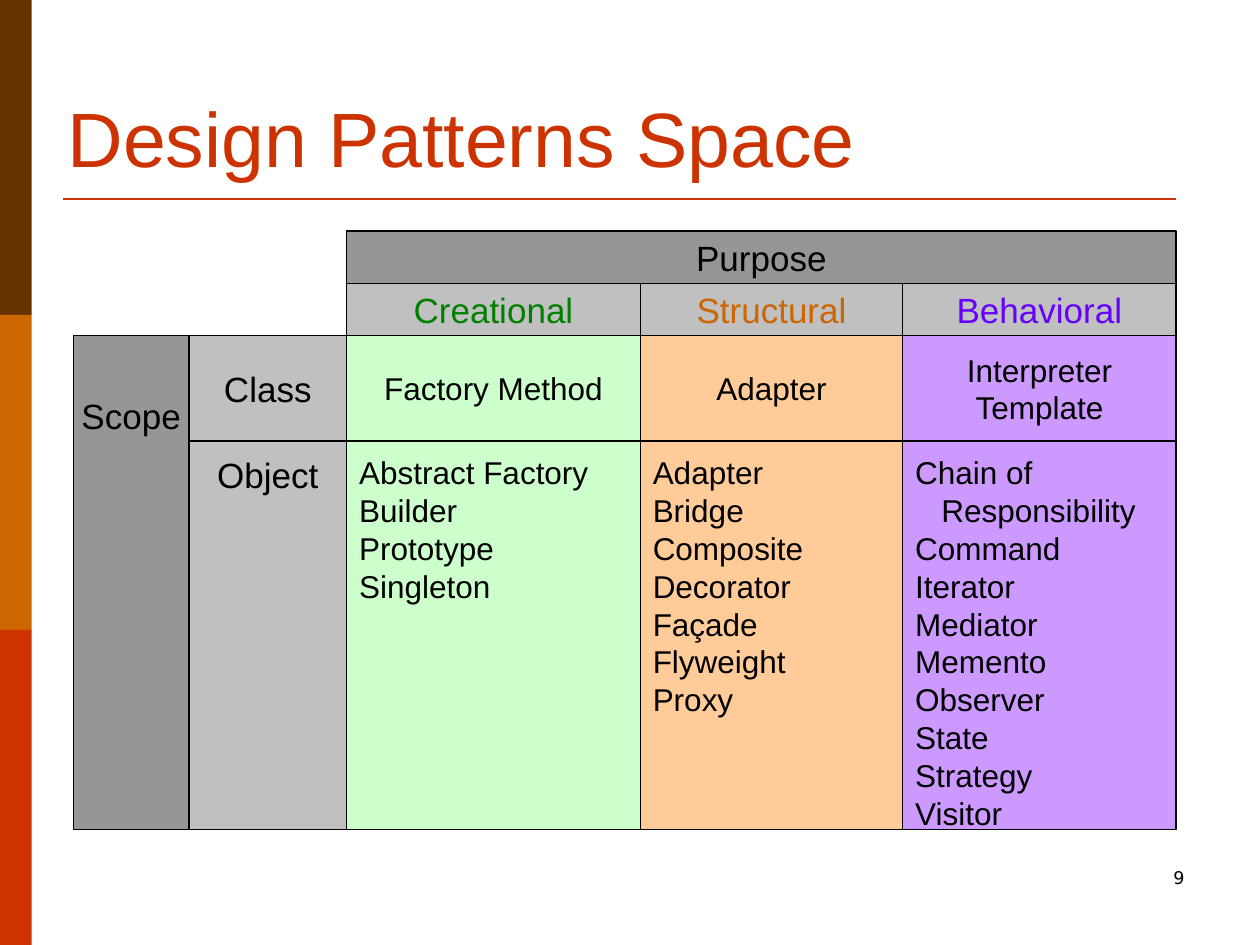
"""Build the design patterns slide: purposes across, scopes down."""
import pptx
import pptx.dml.color
import pptx.enum.shapes
import pptx.enum.text
import pptx.util
from lxml import etree
from pptx.util import Cm, Pt

TITLE = "Design Patterns Space"
PAGE_NUMBER = "9"
ACCENT = "CC3300"
SIDEBAR = ["663300", "CC6600", ACCENT]
DARK_GRAY, LIGHT_GRAY, BLACK = "969696", "C0C0C0", "000000"

PURPOSES = [
    {"name": "Creational", "ink": "008000", "tint": "CCFFCC",
     "class": ["Factory Method"],
     "object": ["Abstract Factory", "Builder", "Prototype", "Singleton"]},
    {"name": "Structural", "ink": "CC6600", "tint": "FFCC99",
     "class": ["Adapter"],
     "object": ["Adapter", "Bridge", "Composite", "Decorator", "Façade",
                "Flyweight", "Proxy"]},
    {"name": "Behavioral", "ink": "6600FF", "tint": "CC99FF",
     "class": ["Interpreter", "Template"],
     "object": ["Chain of Responsibility", "Command", "Iterator", "Mediator",
                "Memento", "Observer", "State", "Strategy", "Visitor"]},
]

COLUMN_EDGES = [1.48, 3.81, 6.99, 12.91, 18.2, 23.71]
ROW_EDGES = [4.66, 5.72, 6.77, 8.89, 16.72]
LIST_TOP, SCOPE_TOP, HANGING = 0.25, 1.18, 0.53

ALIGN = pptx.enum.text.PP_ALIGN
ANCHOR = pptx.enum.text.MSO_ANCHOR
RECTANGLE = pptx.enum.shapes.MSO_SHAPE.RECTANGLE


def rgb(value):
    return pptx.dml.color.RGBColor.from_string(value)


def write(frame, lines, size, ink, align, font="Arial"):
    frame.text = "\n".join(lines)
    for paragraph in frame.paragraphs:
        paragraph.alignment = align
        paragraph.font.name = font
        paragraph.font.size = Pt(size)
        paragraph.font.color.rgb = rgb(ink)


def add_block(slide, left, top, width, height, fill):
    block = slide.shapes.add_shape(RECTANGLE, Cm(left), Cm(top), Cm(width), Cm(height))
    block.shadow.inherit = False
    block.fill.solid()
    block.fill.fore_color.rgb = rgb(fill)
    block.line.fill.background()
    return block


def add_cell(slide, columns, rows, lines, fill, ink=BLACK, size=20,
             align=ALIGN.CENTER, text_top=None):
    left, right = (COLUMN_EDGES[edge] for edge in columns)
    top, bottom = (ROW_EDGES[edge] for edge in rows)
    cell = add_block(slide, left, top, right - left, bottom - top, fill)
    cell.line.color.rgb = rgb(BLACK)
    cell.line.width = Pt(0.75)
    frame = cell.text_frame
    frame.word_wrap = False
    frame.vertical_anchor = ANCHOR.MIDDLE
    if text_top is not None:
        frame.vertical_anchor = ANCHOR.TOP
        frame.margin_top = Cm(text_top)
    write(frame, lines, size, ink, align)
    return frame


def add_label(slide, left, top, width, height, text, size, ink, align, anchor, font):
    frame = slide.shapes.add_textbox(Cm(left), Cm(top), Cm(width), Cm(height)).text_frame
    frame.word_wrap = True
    frame.vertical_anchor = anchor
    write(frame, [text], size, ink, align, font)


def hang_lines(frame):
    frame.word_wrap = True
    for paragraph in frame.paragraphs:
        properties = paragraph._p.get_or_add_pPr()
        properties.set("marL", str(Cm(HANGING)))
        properties.set("indent", str(-Cm(HANGING)))


def add_rule(slide):
    rule = slide.shapes.add_connector(pptx.enum.shapes.MSO_CONNECTOR.STRAIGHT,
                                      Cm(1.27), Cm(4.01), Cm(23.71), Cm(4.01))
    rule.line.color.rgb = rgb(ACCENT)
    rule.line.width = Pt(1.5)
    etree.SubElement(rule._element.spPr, pptx.oxml.ns.qn("a:effectLst"))


def main():
    deck = pptx.Presentation()
    deck.slide_width, deck.slide_height = Cm(25.4), Cm(19.05)
    slide = deck.slides.add_slide(deck.slide_layouts[6])

    band = 19.05 / len(SIDEBAR)
    for index, fill in enumerate(SIDEBAR):
        add_block(slide, 0, index * band, 0.64, band, fill)
    add_rule(slide)
    add_label(slide, 1.11, 0.64, 21.59, 3.18, TITLE, 44, ACCENT,
              ALIGN.LEFT, ANCHOR.BOTTOM, "Arial")

    add_cell(slide, (2, 5), (0, 1), ["Purpose"], DARK_GRAY)
    add_cell(slide, (0, 1), (2, 4), ["Scope"], DARK_GRAY, text_top=SCOPE_TOP)
    add_cell(slide, (1, 2), (2, 3), ["Class"], LIGHT_GRAY)
    add_cell(slide, (1, 2), (3, 4), ["Object"], LIGHT_GRAY, text_top=LIST_TOP)
    for column, purpose in enumerate(PURPOSES, start=2):
        columns = (column, column + 1)
        add_cell(slide, columns, (1, 2), [purpose["name"]], LIGHT_GRAY, purpose["ink"])
        add_cell(slide, columns, (2, 3), purpose["class"], purpose["tint"], size=18)
        hang_lines(add_cell(slide, columns, (3, 4), purpose["object"], purpose["tint"],
                            size=18, align=ALIGN.LEFT, text_top=LIST_TOP))

    add_label(slide, 18.2, 17.36, 5.93, 1.27, PAGE_NUMBER, 10, BLACK,
              ALIGN.RIGHT, ANCHOR.TOP, "DejaVu Sans")
    deck.save("out.pptx")


if __name__ == "__main__":
    main()
